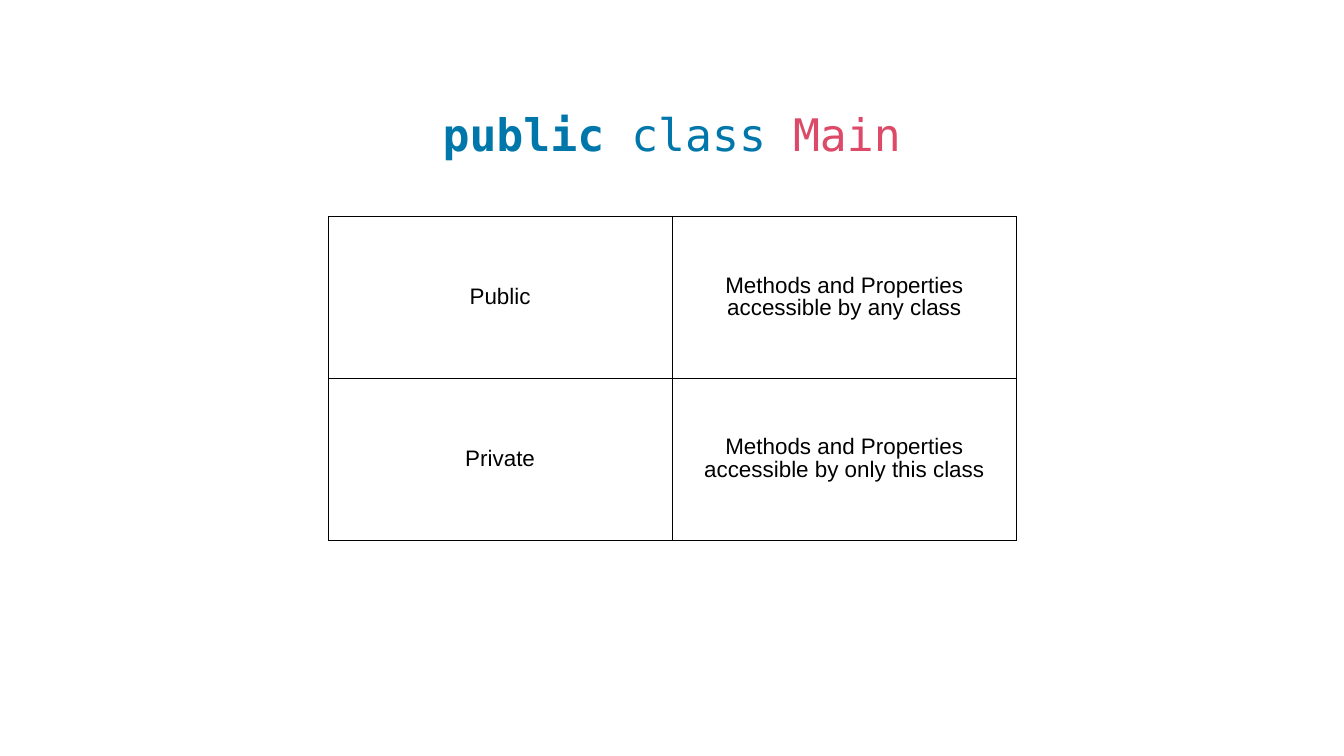
from typing import NamedTuple

import pptx
import pptx.dml.color
import pptx.enum.text
import pptx.oxml
import pptx.oxml.ns
import pptx.util

Inches = pptx.util.Inches
Pt = pptx.util.Pt
RGBColor = pptx.dml.color.RGBColor
MIDDLE = pptx.enum.text.MSO_ANCHOR.MIDDLE
CENTER = pptx.enum.text.PP_ALIGN.CENTER

KEYWORD_BLUE = RGBColor(0x00, 0x77, 0xAA)
CLASS_RED = RGBColor(0xDD, 0x4A, 0x68)
BLACK = RGBColor(0x00, 0x00, 0x00)
INSET = Inches(0.06)


class Token(NamedTuple):
    text: str
    color: RGBColor
    bold: bool = False


class Modifier(NamedTuple):
    name: str
    access: str


DECLARATION = [
    Token("public ", KEYWORD_BLUE, bold=True),
    Token("class ", KEYWORD_BLUE),
    Token("Main", CLASS_RED),
]
MODIFIERS = [
    Modifier("Public", "Methods and Properties accessible by any class"),
    Modifier("Private", "Methods and Properties accessible by only this class"),
]


def set_insets(target) -> None:
    """Give a text frame or table cell equal margins and middle anchoring."""
    target.margin_left = target.margin_right = INSET
    target.margin_top = target.margin_bottom = INSET
    target.vertical_anchor = MIDDLE


def add_declaration(page, tokens: list[Token]) -> None:
    title = page.shapes.title
    title.left, title.top = Inches(8.72), Inches(1.56)
    title.width, title.height = Inches(9.22), Inches(2.17)
    frame = title.text_frame
    frame.word_wrap = False
    frame.auto_size = pptx.enum.text.MSO_AUTO_SIZE.NONE
    set_insets(frame)
    para = frame.paragraphs[0]
    para.alignment = CENTER
    para.font.name = "DejaVu Sans Mono"
    para.font.size = Pt(64)
    for token in tokens:
        span = para.add_run()
        span.text = token.text
        span.font.bold = token.bold
        span.font.color.rgb = token.color


def set_borders(cell, color: RGBColor, width: int) -> None:
    properties = cell._tc.get_or_add_tcPr()
    for position, side in enumerate(("lnL", "lnR", "lnT", "lnB")):
        line = pptx.oxml.parse_xml(
            f'<a:{side} {pptx.oxml.ns.nsdecls("a")} w="{width}"><a:solidFill>'
            f'<a:srgbClr val="{color}"/></a:solidFill></a:{side}>'
        )
        properties.insert(position, line)


def fill_cell(cell, text: str) -> None:
    cell.text = text
    set_insets(cell)
    cell.fill.background()
    set_borders(cell, BLACK, Pt(1))
    para = cell.text_frame.paragraphs[0]
    para.alignment = CENTER
    para.line_spacing = 0.9
    para.font.name = "Arial"
    para.font.size = Pt(32)
    para.font.bold = False
    para.font.color.rgb = BLACK


def add_modifier_table(page, modifiers: list[Modifier]) -> None:
    table = page.shapes.add_table(
        len(modifiers), len(Modifier._fields),
        Inches(6.51), Inches(4.3), Inches(13.66), Inches(6.42),
    ).table
    table.first_row = table.horz_banding = False
    for row, modifier in enumerate(modifiers):
        for column, text in enumerate(modifier):
            fill_cell(table.cell(row, column), text)


def main() -> None:
    deck = pptx.Presentation()
    deck.slide_width, deck.slide_height = Inches(26.67), Inches(15)
    page = deck.slides.add_slide(deck.slide_layouts.get_by_name("Title Only"))
    add_declaration(page, DECLARATION)
    add_modifier_table(page, MODIFIERS)
    deck.save("out.pptx")


if __name__ == "__main__":
    main()
